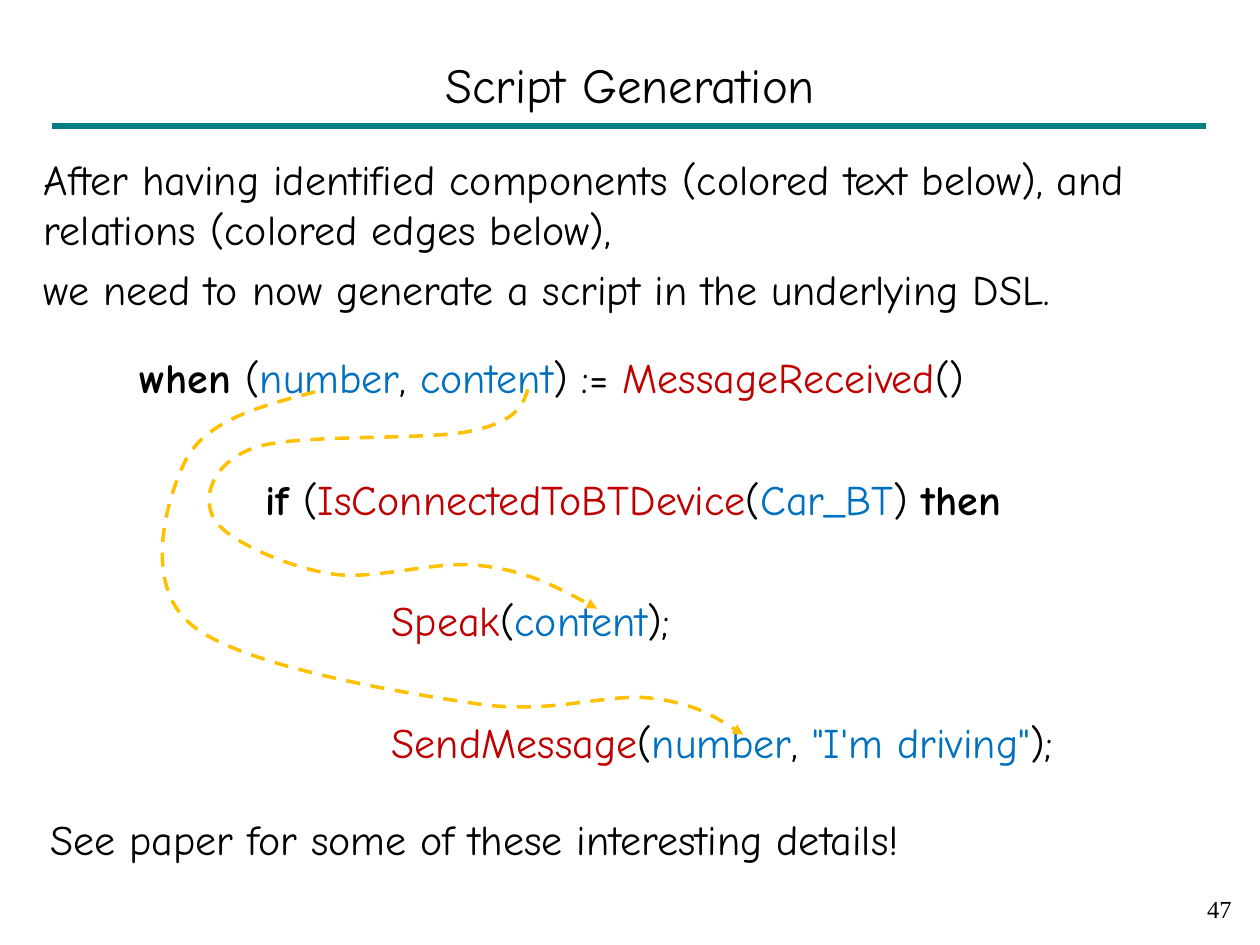
from dataclasses import dataclass

from lxml.etree import SubElement
from pptx import Presentation
from pptx.dml.color import RGBColor as Rgb
from pptx.enum.dml import MSO_LINE as Dash
from pptx.enum.shapes import MSO_CONNECTOR as Link
from pptx.enum.text import MSO_ANCHOR as Anchor, PP_ALIGN as Align
from pptx.oxml.ns import qn
from pptx.util import Pt


@dataclass(frozen=True)
class Theme:
    font: str = "Comic Neue"
    serif: str = "Times New Roman"
    head: int = 28
    body: int = 24
    small: int = 14
    ink: str = "000000"
    data: str = "0070C0"
    call: str = "C00000"
    rule: str = "008080"
    edge: str = "FFC000"


class Page:
    def __init__(self, deck, theme):
        self.theme = theme
        self.slide = deck.slides.add_slide(deck.slide_layouts[5])

    def style(self, para, size, font=None, align=Align.LEFT):
        para.font.size = Pt(size)
        para.font.name = font or self.theme.font
        para.font.color.rgb = Rgb.from_string(self.theme.ink)
        para.alignment = align

    def title(self, text, box):
        head = self.slide.shapes.title
        head.left, head.top, head.width, head.height = map(Pt, box)
        head.text_frame.text = text
        head.text_frame.vertical_anchor = Anchor.MIDDLE
        self.style(head.text_frame.paragraphs[0], self.theme.head,
                   align=Align.CENTER)

    def frame(self, box):
        frame = self.slide.shapes.add_textbox(*map(Pt, box)).text_frame
        frame.word_wrap = True
        return frame

    def text(self, lines, box, size=None, font=None, align=Align.LEFT, gap=5):
        frame = self.frame(box)
        frame.text = "\n".join(lines)
        for para in frame.paragraphs:
            self.style(para, size or self.theme.body, font, align)
            para.space_before = Pt(gap)

    def code(self, lines, box):
        """Each line is an indent depth and its (text, role) pieces."""
        frame = self.frame(box)
        for i, (depth, parts) in enumerate(lines):
            para = frame.add_paragraph() if i else frame.paragraphs[0]
            self.style(para, self.theme.body)
            para.line_spacing = 2.0
            para.space_before = Pt(12)
            para._p.get_or_add_pPr().set("marL", str(Pt(72 * depth)))
            for text, role in parts:
                run = para.add_run()
                run.text = text
                if role == "key":
                    run.font.bold = True
                elif role != "ink":
                    tint = getattr(self.theme, role)
                    run.font.color.rgb = Rgb.from_string(tint)

    def rule(self, left, right, top, width):
        line = self.slide.shapes.add_connector(
            Link.STRAIGHT, Pt(left), Pt(top), Pt(right), Pt(top))
        line.line.color.rgb = Rgb.from_string(self.theme.rule)
        line.line.width = Pt(width)
        SubElement(line._element.spPr, qn("a:effectLst"))

    def curve(self, points):
        """Draw a dashed arrow; after the start, every three points
        form one cubic Bezier segment."""
        start, *rest = [(Pt(x), Pt(y)) for x, y in points]
        pen = self.slide.shapes.build_freeform(*start)
        pen.add_line_segments(rest, close=False)
        shape = pen.convert_to_shape()
        shape.shadow.inherit = False
        shape.fill.background()
        shape.line.color.rgb = Rgb.from_string(self.theme.edge)
        shape.line.width = Pt(2)
        shape.line.dash_style = Dash.DASH
        SubElement(shape.line._get_or_add_ln(), qn("a:tailEnd"),
                   type="triangle")
        track = shape._element.find(".//" + qn("a:path"))
        steps = track.findall(qn("a:lnTo"))
        for i in range(0, len(steps), 3):
            bend = SubElement(track, qn("a:cubicBezTo"))
            for step in steps[i:i + 3]:
                bend.append(step[0])
                track.remove(step)


CODE = [
    (0, [("when", "key"), (" (", "ink"), ("number", "data"), (", ", "ink"),
         ("content", "data"), (") := ", "ink"), ("MessageReceived", "call"),
         ("()", "ink")]),
    (1, [("if", "key"), (" (", "ink"), ("IsConnectedToBTDevice", "call"),
         ("(", "ink"), ("Car_BT", "data"), (") ", "ink"), ("then", "key")]),
    (2, [("Speak", "call"), ("(", "ink"), ("content", "data"),
         (");", "ink")]),
    (2, [("SendMessage", "call"), ("(", "ink"), ("number", "data"),
         (", ", "ink"), ('"I\'m driving"', "data"), (");", "ink")]),
]

CONTENT = [
    (301.7, 222.5),
    (298.8, 231.1), (295.9, 240.5), (270, 246.2),
    (244.1, 252), (170.6, 247.7), (146.2, 255.6),
    (121, 264.2), (115.2, 284.4), (122.4, 296.6),
    (128.9, 308.2), (162, 323.3), (187.2, 327.6),
    (213.1, 332.6), (249.1, 319.7), (275, 323.3),
    (301, 326.2), (321.1, 337), (341.3, 347.8),
]

NUMBER = [
    (180, 223.9),
    (149.8, 231.8), (118.8, 239.8), (106.6, 262.1),
    (95, 284.4), (81.4, 333.4), (108.7, 356.4),
    (136.1, 380.2), (226.1, 395.3), (270, 401.8),
    (313.9, 409), (345.6, 396), (371.5, 398.9),
    (396.7, 401.8), (411.1, 411.1), (424.8, 419.8),
]


def main():
    deck = Presentation()
    deck.slide_width, deck.slide_height = Pt(720), Pt(540)
    theme = Theme()
    page = Page(deck, theme)
    page.rule(30, 689, 72, 4)
    page.text(["After having identified components (colored text below), "
               "and relations (colored edges below),",
               "we need to now generate a script in the underlying DSL."],
              (18, 84.2, 677.5, 106))
    page.text(["47"], (561, 507.6, 149.8, 30), theme.small, theme.serif,
              Align.RIGHT, gap=0)
    page.title("Script Generation", (54, 24, 612, 48))
    page.code(CODE, (72.7, 168.5, 592.6, 319.7))
    for points in (CONTENT, NUMBER):
        page.curve(points)
    page.text(["See paper for some of these interesting details!"],
              (21.6, 461.5, 677.5, 61))
    deck.save("out.pptx")


if __name__ == "__main__":
    main()
